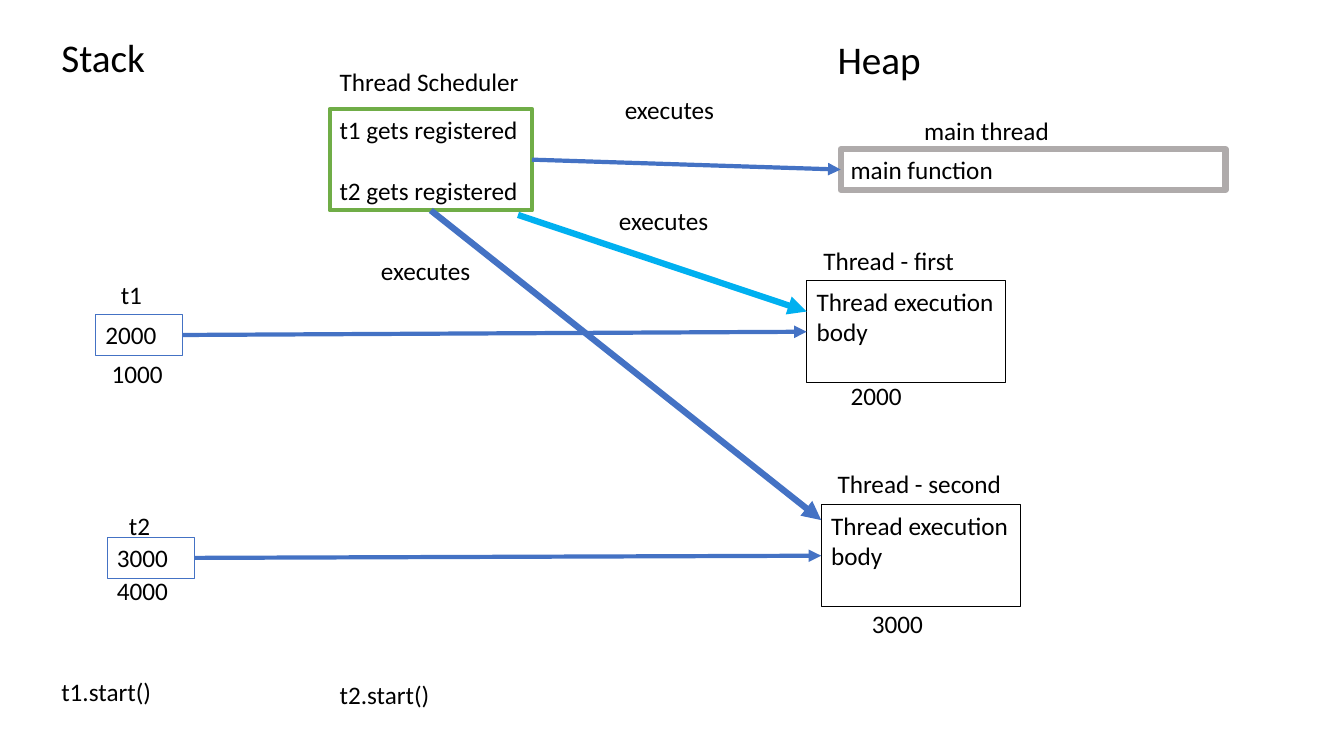
from pptx import Presentation
from pptx.dml.color import RGBColor
from pptx.enum.shapes import MSO_CONNECTOR as Link, MSO_SHAPE as Form
from pptx.enum.text import MSO_ANCHOR as Anchor, PP_ALIGN as Align
from pptx.oxml.ns import qn
from pptx.util import Pt
from lxml.etree import SubElement

BLACK = RGBColor(0x00, 0x00, 0x00)
BLUE = RGBColor(0x44, 0x72, 0xC4)
CYAN = RGBColor(0x00, 0xB0, 0xF0)
GREEN = RGBColor(0x70, 0xAD, 0x47)
GRAY = RGBColor(0xAF, 0xAB, 0xAB)
BOTTOM, LEFT, RIGHT = 2, 1, 3


class Board:
    font = "Calibri"
    size = 18
    row = 29

    def __init__(self, slide):
        self.shapes = slide.shapes

    def fill_text(self, shape, lines, size, gap=0):
        frame = shape.text_frame
        frame.word_wrap = True
        frame.vertical_anchor = Anchor.TOP
        frame.text = "\n".join(lines)
        for i, para in enumerate(frame.paragraphs):
            para.alignment = Align.LEFT
            para.font.name = self.font
            para.font.size = Pt(size)
            para.font.color.rgb = BLACK
            if i:
                para.space_before = Pt(gap)

    def label(self, text, x, y, w, size=size, h=row):
        box = self.shapes.add_textbox(Pt(x), Pt(y), Pt(w), Pt(h))
        self.fill_text(box, [text], size)

    def box(self, lines, x, y, w, h, color, wide=0.75, gap=0):
        box = self.shapes.add_shape(Form.RECTANGLE, Pt(x), Pt(y), Pt(w), Pt(h))
        box.shadow.inherit = False
        box.fill.background()
        box.line.color.rgb = color
        box.line.width = Pt(wide)
        self.fill_text(box, lines, self.size, gap)
        return box

    def arrow(self, start, end, color=BLUE, wide=3):
        line = self.shapes.add_connector(Link.STRAIGHT, *map(Pt, start + end))
        line.line.color.rgb = color
        line.line.width = Pt(wide)
        props = line._element.spPr
        SubElement(props.find(qn("a:ln")), qn("a:tailEnd"), type="triangle")
        SubElement(props, qn("a:effectLst"))
        return line

    def join(self, source, target):
        line = self.arrow((0, 0), (0, 0))
        line.begin_connect(source, RIGHT)
        line.end_connect(target, LEFT)


def main():
    deck = Presentation()
    deck.slide_width, deck.slide_height = Pt(960), Pt(540)
    board = Board(deck.slides.add_slide(deck.slide_layouts[6]))

    board.label("Stack", 36.7, 20.2, 81, 28, 41)
    board.label("Heap", 591.2, 21.6, 96, 28, 41)

    board.label("Thread Scheduler", 235.5, 44, 151)
    plan = board.box(["t1 gets registered", "t2 gets registered"],
                     235.5, 77.8, 144.5, 72.5, GREEN, 3, 22)
    board.label("main thread", 653, 78.5, 119)
    first = board.box(["main function"], 600.5, 106.6, 275, 29, GRAY, 4.5)
    board.join(plan, first)

    threads = [
        ("t1", (79.2, 195.8, 40), "2000", (68.2, 224.8),
         "1000", (72.7, 252.7, 54),
         "Thread - first", (581, 171.4, 116), (576.2, 200.7),
         (600.5, 267.8, 78)),
        ("t2", (85, 360.7, 32), "3000", (76.5, 384),
         "4000", (76.5, 407.5, 58),
         "Thread - second", (591.2, 331.2, 150), (586.6, 360.7),
         (615.6, 430.6, 63)),
    ]
    for name, at, ref, cell, home, below, title, head, body, foot in threads:
        board.label(name, *at)
        slot = board.box([ref], *cell, 62.2, 29, BLUE)
        board.label(home, *below)
        board.label(title, *head)
        block = board.box(["Thread execution body"], *body, 142.2, 72.5, BLACK)
        board.label(ref, *foot)
        board.join(slot, block)

    board.arrow((370, 153.5), (576.2, 222.5), CYAN, 4.5)
    run = board.arrow((307.7, 150.3), (586.6, 371.5), BLUE, 4.5)
    run.begin_connect(plan, BOTTOM)

    for x, y in [(439.2, 64.1), (435, 143), (265, 178.8)]:
        board.label("executes", x, y, 88)
    board.label("t1.start()", 36.7, 479.5, 90)
    board.label("t2.start()", 235.5, 481.7, 90)

    deck.save("out.pptx")


if __name__ == "__main__":
    main()
